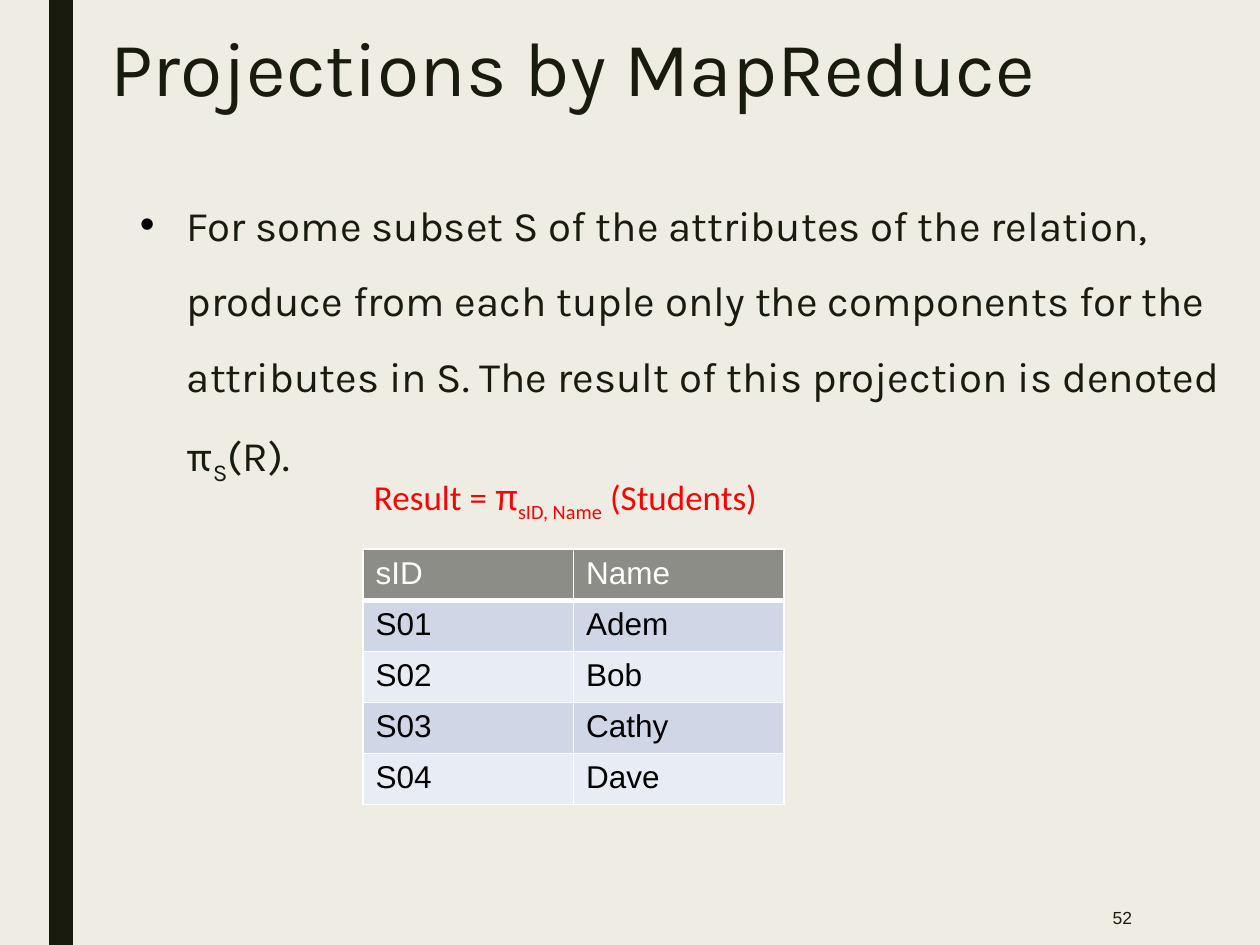
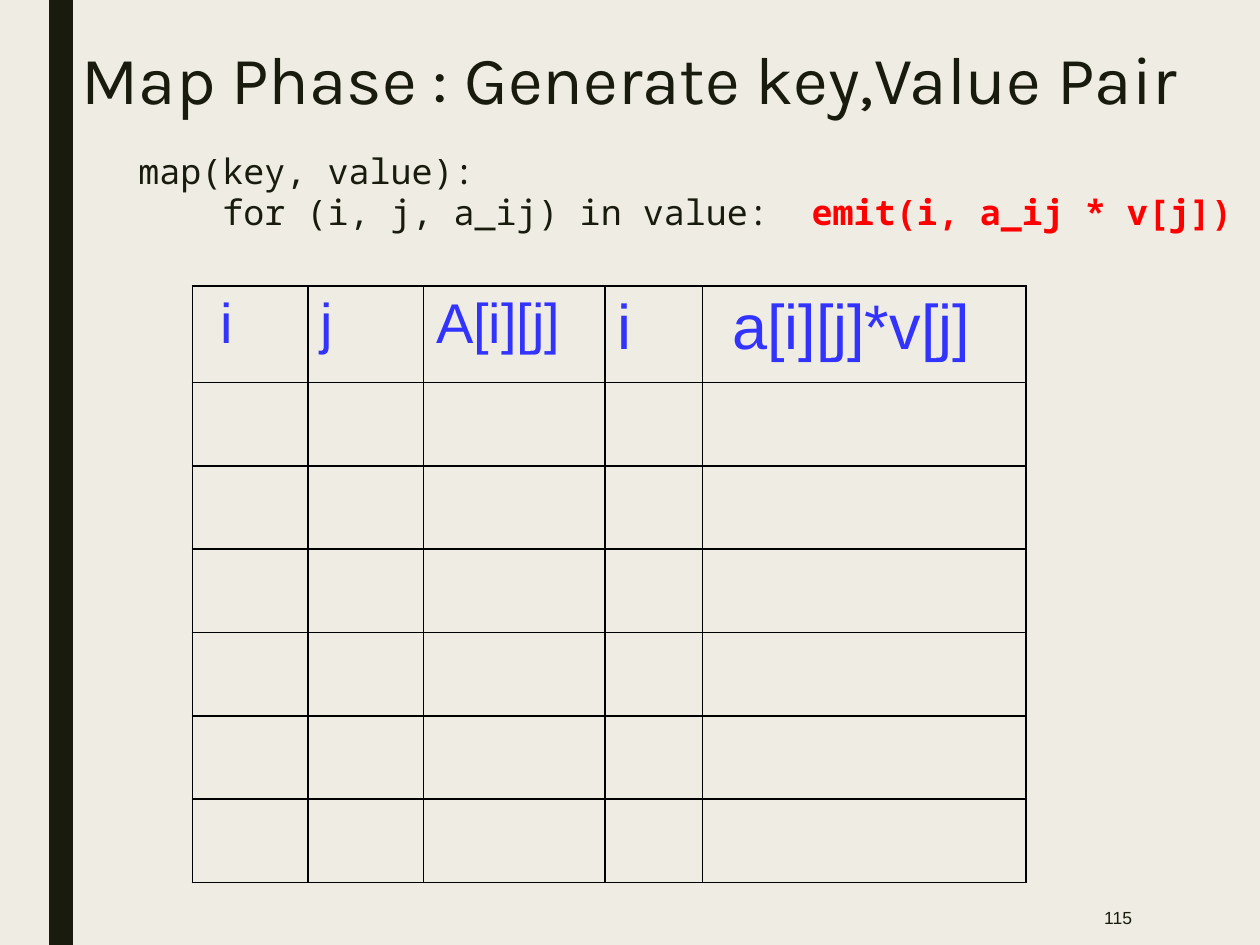
from lxml.etree import SubElement
from pptx import Presentation
from pptx.dml.color import RGBColor
from pptx.enum.shapes import MSO_SHAPE as Shape
from pptx.enum.text import MSO_ANCHOR as Anchor, PP_ALIGN as Align
from pptx.oxml.ns import qn
from pptx.util import Cm, Pt

PAPER, INK, RED, BLUE = "EFEDE3", "191B0E", "FF0000", "3333FF"
WHITE, BLACK, HEADER = "FFFFFF", "000000", "8C8D86"
STRIPES = ("CFD7E7", "E8ECF4")
TITLE_FONT, PLAIN_FONT, CODE_FONT = "Karla", "Arial", "Noto Sans Mono"
SLIDE_SIZE = (25.4, 19.05)
BAND_BOX = (0.99, 0, 0.48, 19.05)
NUMBER_BOX = (19.74, 17.93, 3.33, 1.12)


def color(value):
    """Turn a hex string into a colour."""
    return RGBColor.from_string(value)


def write(paragraph, text, font=PLAIN_FONT, size=18, ink=INK, bold=False, baseline=0):
    """Append a formatted run to a paragraph."""
    run = paragraph.add_run()
    run.text = text
    run.font.name, run.font.size, run.font.bold = font, Pt(size), bold
    run.font.color.rgb = color(ink)
    if baseline:
        run.font._element.set("baseline", str(baseline * 1000))


def add_text_frame(slide, box, anchor=Anchor.TOP):
    """Add a wrapping text box and return its frame."""
    frame = slide.shapes.add_textbox(*map(Cm, box)).text_frame
    frame.word_wrap = True
    frame.vertical_anchor = anchor
    return frame


def add_line(slide, box, text, align, spacing=1.0, **style):
    """Add one vertically centred line of text."""
    paragraph = add_text_frame(slide, box, Anchor.MIDDLE).paragraphs[0]
    paragraph.alignment = align
    paragraph.line_spacing = spacing
    write(paragraph, text, **style)


def add_base_slide(presentation, title, title_box, title_size, number):
    """Add a slide with background, band, title and number."""
    slide = presentation.slides.add_slide(presentation.slide_layouts[6])
    slide.background.fill.solid()
    slide.background.fill.fore_color.rgb = color(PAPER)
    band = slide.shapes.add_shape(Shape.RECTANGLE, *map(Cm, BAND_BOX))
    band.shadow.inherit = False
    band.fill.solid()
    band.fill.fore_color.rgb = color(INK)
    band.line.fill.background()
    add_line(slide, title_box, title, Align.CENTER, 0.89, font=TITLE_FONT, size=title_size)
    add_line(slide, NUMBER_BOX, number, Align.RIGHT, size=10)
    return slide


def set_bullet(paragraph, indent):
    """Give a paragraph a black bullet and a hanging indent in cm."""
    properties = paragraph._p.get_or_add_pPr()
    properties.set("marL", str(Cm(indent)))
    properties.set("indent", str(-Cm(indent)))
    bullet_color = SubElement(properties, qn("a:buClr"))
    SubElement(bullet_color, qn("a:srgbClr"), val=BLACK)
    SubElement(properties, qn("a:buFont"), typeface=PLAIN_FONT)
    SubElement(properties, qn("a:buChar"), char="•")


def set_borders(cell, ink, top=1, bottom=1):
    """Draw the four borders of a cell, widths in points."""
    properties = cell._tc.get_or_add_tcPr()
    for side, width in (("L", 1), ("R", 1), ("T", top), ("B", bottom)):
        line = SubElement(properties, qn(f"a:ln{side}"), w=str(Pt(width)))
        fill = SubElement(line, qn("a:solidFill"))
        SubElement(fill, qn("a:srgbClr"), val=ink)


def add_plain_table(slide, left, top, widths, heights):
    """Add a table without header or stripe styling, sizes in cm."""
    box = map(Cm, (left, top, sum(widths), sum(heights)))
    table = slide.shapes.add_table(len(heights), len(widths), *box).table
    table.first_row = table.horz_banding = False
    for column, width in zip(table.columns, widths):
        column.width = Cm(width)
    for row, height in zip(table.rows, heights):
        row.height = Cm(height)
    return table


def add_student_table(slide, left, top):
    """Add the striped table of student ids and names."""
    names = ("Adem", "Bob", "Cathy", "Dave")
    rows = [("sID", "Name")] + [(f"S{i:02}", name) for i, name in enumerate(names, 1)]
    table = add_plain_table(slide, left, top, [4.24] * 2, [1.03] * len(rows))
    for r, values in enumerate(rows):
        for c, value in enumerate(values):
            cell = table.cell(r, c)
            set_borders(cell, WHITE, top=3 if r == 1 else 1, bottom=3 if r == 0 else 1)
            cell.fill.solid()
            cell.fill.fore_color.rgb = color(STRIPES[(r - 1) % 2] if r else HEADER)
            write(cell.text_frame.paragraphs[0], value, ink=BLACK if r else WHITE)


def add_pair_table(slide, left, top):
    """Add the empty grid for matrix entries and emitted pairs."""
    headings = (("i", 32, 0.56), ("j", 32, 0.25), ("A[i][j]", 32, 0.25),
                ("i", 36, 0.25), ("a[i][j]*v[j]", 36, 0.6))
    widths = [2.33, 2.33, 3.66, 1.96, 6.52]
    table = add_plain_table(slide, left, top, widths, [1.94] + [1.68] * 6)
    for cell in table.iter_cells():
        set_borders(cell, BLACK)
        cell.fill.background()
    for c, (heading, size, margin) in enumerate(headings):
        cell = table.cell(0, c)
        cell.margin_left = Cm(margin)
        write(cell.text_frame.paragraphs[0], heading, size=size, ink=BLUE)


def add_definition(slide, box):
    """Add the bulleted definition of a projection."""
    paragraph = add_text_frame(slide, box).paragraphs[0]
    set_bullet(paragraph, 0.95)
    paragraph.line_spacing = 1.5
    style = {"font": TITLE_FONT, "size": 24}
    write(paragraph, "For some subset S of the attributes of the relation, produce from "
          "each tuple only the components for the attributes in S. The result of this "
          "projection is denoted π", **style)
    write(paragraph, "S", baseline=-25, **style)
    write(paragraph, "(R).", **style)


def add_result(slide, box):
    """Add the red formula above the student table."""
    paragraph = add_text_frame(slide, box).paragraphs[0]
    for text, font, baseline in (("Result = ", "Calibri", 0), ("π", "Noto Sans CJK TC", 0),
                                 ("sID, Name", "Calibri", -25), (" (Students)", "Calibri", 0)):
        write(paragraph, text, font=font, size=20, ink=RED, baseline=baseline)


def add_map_code(slide, box):
    """Add the pseudocode of the map function."""
    frame = add_text_frame(slide, box)
    signature, loop = frame.paragraphs[0], frame.add_paragraph()
    signature.line_spacing = loop.line_spacing = 0.94
    loop.space_before = Pt(1.3)
    style = {"font": CODE_FONT, "size": 20}
    write(signature, "map(key, value):", **style)
    write(loop, "    for (i, j, a_ij) in value:  ", **style)
    write(loop, "emit(i, a_ij * v[j])", ink=RED, bold=True, **style)


def add_projection_slide(presentation):
    """Build the slide on projections."""
    slide = add_base_slide(presentation, "Projections by MapReduce",
                           (1.55, -0.61, 20.02, 4.11), 44, "52")
    add_definition(slide, (2.57, 3.38, 22.83, 9.96))
    add_result(slide, (7.29, 9.47, 11.35, 1.12))
    add_student_table(slide, 7.32, 11.07)


def add_map_slide(presentation):
    """Build the slide on the map phase."""
    slide = add_base_slide(presentation, "Map Phase : Generate key,Value Pair",
                           (1.27, 0.71, 22.86, 1.91), 38.6, "115")
    add_map_code(slide, (2.54, 2.95, 22.86, 2.3))
    add_pair_table(slide, 3.88, 5.77)


def main():
    """Create and save the presentation."""
    presentation = Presentation()
    presentation.slide_width, presentation.slide_height = map(Cm, SLIDE_SIZE)
    add_projection_slide(presentation)
    add_map_slide(presentation)
    presentation.save("out.pptx")


if __name__ == "__main__":
    main()
